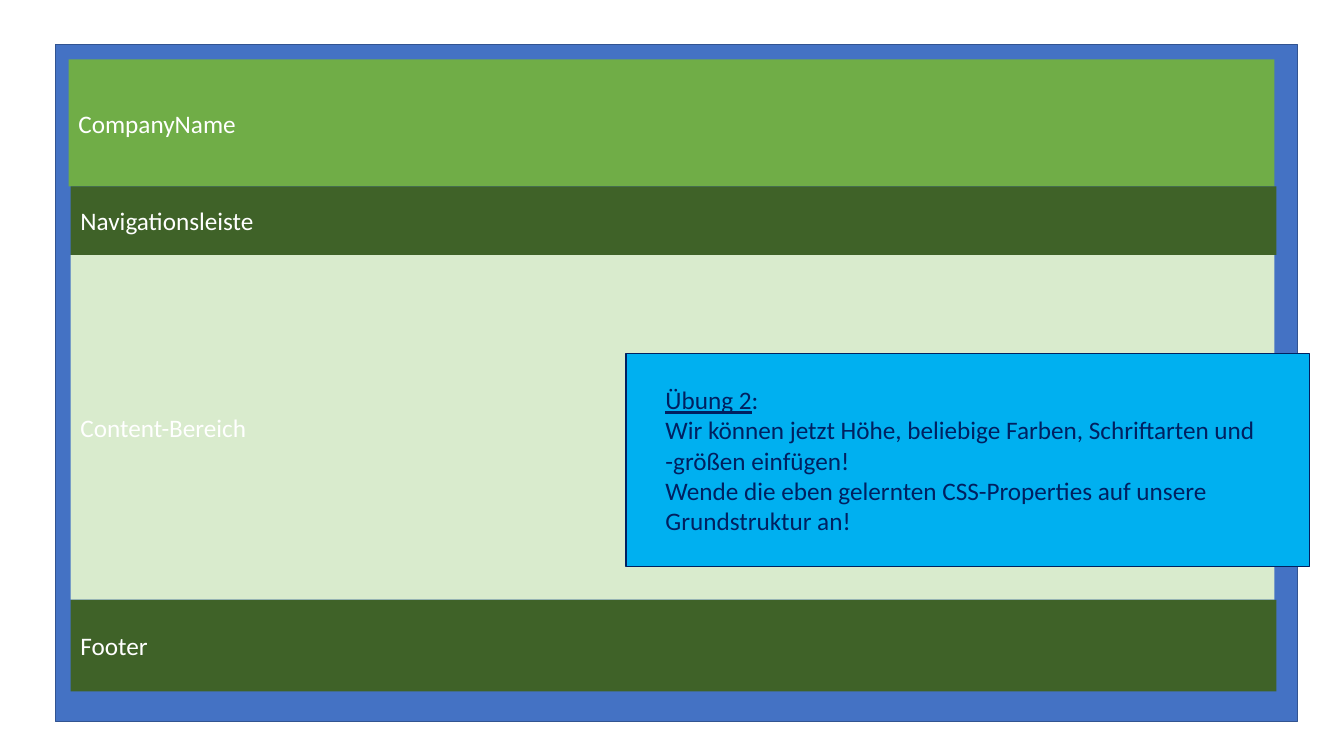
from pptx import Presentation
from pptx.dml.color import RGBColor
from pptx.enum.shapes import MSO_SHAPE as Shape
from pptx.enum.text import MSO_ANCHOR as Anchor, PP_ALIGN as Align
from pptx.util import Inches, Pt

WHITE = RGBColor(0xFF, 0xFF, 0xFF)
BLUE = RGBColor(0x44, 0x72, 0xC4)
BLUE_EDGE = RGBColor(0x32, 0x54, 0x91)
GREEN = RGBColor(0x70, 0xAD, 0x47)
DARK_GREEN = RGBColor(0x3F, 0x62, 0x28)
PALE_GREEN = RGBColor(0xD9, 0xEB, 0xCD)
CYAN = RGBColor(0x00, 0xB0, 0xF0)
NAVY = RGBColor(0x00, 0x20, 0x60)


class SlideBuilder:
    """Holds the text style and the current slide."""

    font_format = {"name": "Calibri", "size": Pt(18)}

    def __init__(self, page):
        self.page = page

    def box(self, left, top, width, height, fill, edge=None):
        box = self.page.shapes.add_shape(
            Shape.RECTANGLE, *map(Inches, (left, top, width, height)))
        box.shadow.inherit = False
        box.fill.solid()
        box.fill.fore_color.rgb = fill
        if edge is None:
            box.line.fill.background()
        else:
            box.line.color.rgb = edge
            box.line.width = Pt(1)
        return box

    def text(self, box, paragraphs, color, inset=0.1):
        """Each paragraph is a list of (wording, underlined) pairs."""
        frame = box.text_frame
        frame_format = {
            "word_wrap": True, "vertical_anchor": Anchor.MIDDLE,
            "margin_left": Inches(inset), "margin_right": Inches(inset)}
        for name, value in frame_format.items():
            setattr(frame, name, value)
        for index, spans in enumerate(paragraphs):
            para = frame.add_paragraph() if index else frame.paragraphs[0]
            para.alignment = Align.LEFT
            for wording, underlined in spans:
                span = para.add_run()
                span.text = wording
                for name, value in self.font_format.items():
                    setattr(span.font, name, value)
                span.font.underline = underlined
                span.font.color.rgb = color


deck = Presentation()
deck.slide_width, deck.slide_height = Inches(13.33), Inches(7.5)
builder = SlideBuilder(deck.slides.add_slide(deck.slide_layouts[6]))

# Page frame
builder.box(0.55, 0.44, 12.32, 6.72, BLUE, BLUE_EDGE)

# Stacked page sections, each starting where the one above ends
sections = [
    ("CompanyName", 0.68, 11.96, 1.26, GREEN),
    ("Navigationsleiste", 0.7, 11.96, 0.68, DARK_GREEN),
    ("Content-Bereich", 0.7, 11.94, 3.42, PALE_GREEN),
    ("Footer", 0.7, 11.96, 0.91, DARK_GREEN),
]
top = 0.59
for label, left, width, height, fill in sections:
    section = builder.box(left, top, width, height, fill)
    builder.text(section, [[(label, False)]], WHITE)
    top += height

# Exercise note
exercise = builder.box(6.21, 3.51, 6.78, 2.11, CYAN, NAVY)
builder.text(exercise, [
    [("Übung 2", True), (":", False)],
    [("Wir können jetzt Höhe, beliebige Farben, Schriftarten und "
      "-größen einfügen!", False)],
    [("Wende die eben gelernten CSS-Properties auf unsere "
      "Grundstruktur an!", False)],
], NAVY, inset=0.39)

deck.save("out.pptx")
